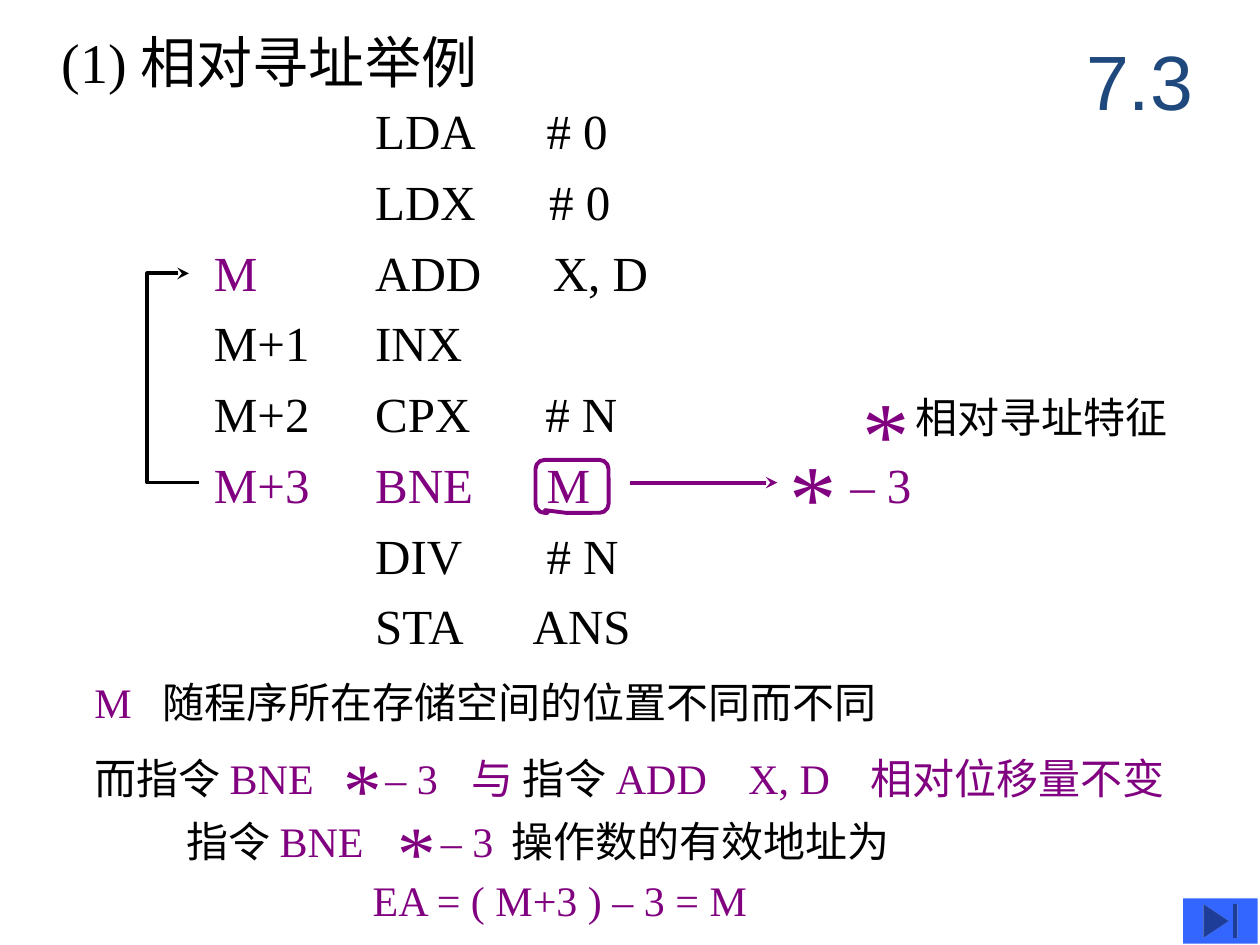
"""Build the slide with the relative addressing example."""
from lxml.etree import SubElement
from pptx import Presentation
from pptx.dml.color import RGBColor
from pptx.enum.shapes import MSO_CONNECTOR, MSO_SHAPE
from pptx.enum.text import MSO_ANCHOR, PP_ALIGN
from pptx.oxml.ns import qn
from pptx.util import Inches, Pt

BLACK, PURPLE = "000000", "800080"


def color(value):
    return RGBColor.from_string(value)


def add_text(left, top, width, height, size, runs, tabs=()):
    box = slide.shapes.add_textbox(Inches(left), Inches(top), Inches(width), Inches(height))
    box.text_frame.word_wrap = True
    paragraph = box.text_frame.paragraphs[0]
    if tabs:
        tab_list = SubElement(paragraph._p.get_or_add_pPr(), qn("a:tabLst"))
        for position in tabs:
            SubElement(tab_list, qn("a:tab"), pos=str(Inches(position)), algn="l")
    paragraph.font.size = Pt(size)
    paragraph.font.name = "Times New Roman"
    for text, run_color in runs:
        run = paragraph.add_run()
        run.text = text
        run.font.color.rgb = color(run_color)


presentation = Presentation()
presentation.slide_width = Inches(10)
presentation.slide_height = Inches(7.5)
slide = presentation.slides.add_slide(presentation.slide_layouts[5])

title = slide.shapes.title
title.left, title.top = Inches(8.42), Inches(0.17)
title.width, title.height = Inches(1.25), Inches(0.92)
title.text_frame.text = "7.3"
title.text_frame.vertical_anchor = MSO_ANCHOR.MIDDLE
paragraph = title.text_frame.paragraphs[0]
paragraph.alignment = PP_ALIGN.CENTER
paragraph.font.size = Pt(44)
paragraph.font.name = "Arial"
paragraph.font.color.rgb = color("1F497D")

add_text(0.39, 0.17, 4.2, 0.64, 32, [("(1) 相对寻址举例", BLACK)])

instructions = [
    ("", "LDA\t# 0", 1.36, BLACK, BLACK),
    ("", "LDX\t# 0", 1.38, BLACK, BLACK),
    ("M", "ADD\tX, D", 1.41, PURPLE, BLACK),
    ("M+1", "INX", None, BLACK, BLACK),
    ("M+2", "CPX\t# N", 1.35, BLACK, BLACK),
    ("M+3", "BNE\tM", 1.36, PURPLE, PURPLE),
    ("", "DIV\t# N", 1.36, BLACK, BLACK),
    ("", "STA\tANS", 1.25, BLACK, BLACK),
]
for row, (address, code, operand, address_color, code_color) in enumerate(instructions):
    top = 0.75 + 0.5615 * row
    if address:
        add_text(1.6, top, 0.96, 0.57, 28, [(address, address_color)])
    add_text(2.88, top, 2.4, 0.57, 28, [(code, code_color)], [operand] if operand else [])

builder = slide.shapes.build_freeform(Inches(1.58), Inches(3.83))
builder.add_line_segments(
    [(Inches(x), Inches(y)) for x, y in [(1.17, 3.83), (1.17, 2.17), (1.5, 2.17)]], close=False)
jump = builder.convert_to_shape()
jump.shadow.inherit = False
jump.fill.background()
offset_arrow = slide.shapes.add_connector(
    MSO_CONNECTOR.STRAIGHT, Inches(5), Inches(3.83), Inches(6.17), Inches(3.83))
SubElement(offset_arrow._element.spPr, qn("a:effectLst"))
for arrow, line_color in [(jump, BLACK), (offset_arrow, PURPLE)]:
    arrow.line.color.rgb = color(line_color)
    arrow.line.width = Pt(2.25)
    SubElement(arrow.line._get_or_add_ln(), qn("a:tailEnd"), type="stealth")

operand_frame = slide.shapes.add_shape(
    MSO_SHAPE.ROUNDED_RECTANGULAR_CALLOUT, Inches(4.25), Inches(3.65), Inches(0.58), Inches(0.42))
operand_frame.shadow.inherit = False
operand_frame.fill.background()
operand_frame.line.color.rgb = color(PURPLE)
operand_frame.line.width = Pt(2.25)
for index, value in enumerate([-0.37, 0.45, 0.17]):
    operand_frame.adjustments[index] = value

for left, top, size in [(6.17, 3.42, 54), (6.75, 2.92, 54), (2.63, 5.83, 44), (3.06, 6.33, 44)]:
    add_text(left, top, 0.75, size / 54, size, [("*", PURPLE)])
for left, top, size in [(6.65, 3.56, 28), (2.96, 5.92, 24), (3.4, 6.42, 24)]:
    add_text(left, top, 0.75, 0.5, size, [("– 3", PURPLE)])

add_text(7.17, 3.06, 2.42, 0.5, 24, [("相对寻址特征", BLACK)])
add_text(0.65, 5.32, 9.25, 0.5, 24,
         [("M\t", PURPLE), ("随程序所在存储空间的位置不同而不同", BLACK)], [0.54])
add_text(0.65, 5.92, 9.25, 0.5, 24,
         [("而指令 ", BLACK), ("BNE\t与 ", PURPLE), ("指令 ", BLACK),
          ("ADD\tX, D\t相对位移量不变", PURPLE)], [2.99, 5.19, 6.16])
add_text(1.38, 6.42, 1.8, 0.5, 24, [("指令 ", BLACK), ("BNE", PURPLE)])
add_text(3.96, 6.42, 3.3, 0.5, 24, [("操作数的有效地址为", BLACK)])
add_text(2.86, 6.89, 3.4, 0.5, 24, [("EA = ( M+3 ) – 3 = M", PURPLE)])

end_button = slide.shapes.add_shape(
    MSO_SHAPE.ACTION_BUTTON_END, Inches(9.39), Inches(7.13), Inches(0.59), Inches(0.36))
end_button.shadow.inherit = False
end_button.fill.solid()
end_button.fill.fore_color.rgb = color("3366FF")
end_button.line.fill.background()

presentation.save("out.pptx")
